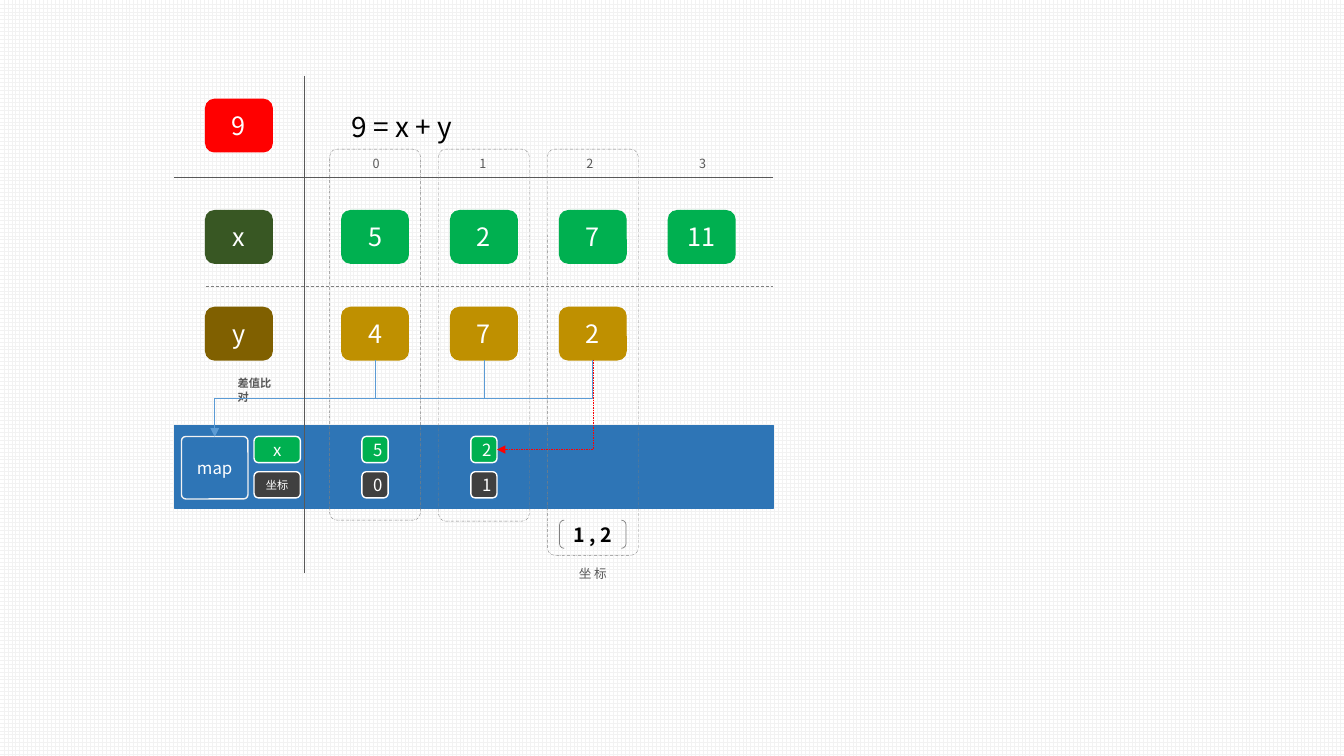
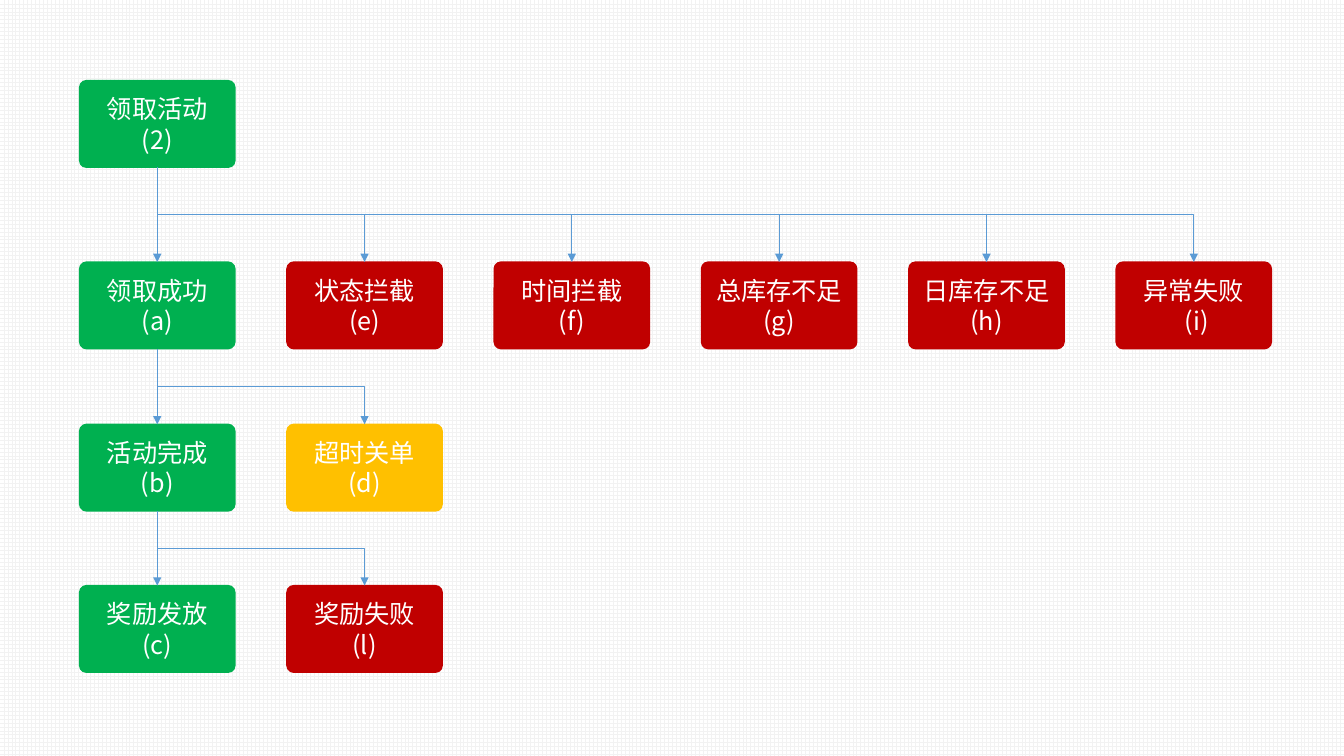
from dataclasses import dataclass
from lxml import etree
from pptx import Presentation
from pptx import util as u
from pptx.dml.color import RGBColor
from pptx.enum import dml, shapes, text
from pptx.oxml.ns import qn


# Theme: colours, type sizes and line weights
class Theme:
    font = "Noto Sans CJK SC"
    white, pale, black = "FFFFFF", "F2F2F2", "000000"
    ink, grey, dark = "595959", "808080", "404040"
    green, red, deep_red, amber = "00B050", "FF0000", "C00000", "FFC000"
    moss, gold, brown = "385723", "BF9000", "806000"
    band, arrow = "2E75B6", "5B9BD5"
    formula, body, result, chip, index, note = 20, 18, 14, 12, 9, 8
    outline, thin, hair = 1, 0.5, 0.25


T = Theme
KIND = shapes.MSO_SHAPE
DASH = dml.MSO_LINE


@dataclass
class Box:
    x: float
    y: float
    w: float
    h: float

    def sub(self, dx, dy, w, h):
        return Box(self.x + dx, self.y + dy, w, h)

    @property
    def mid(self):
        return self.x + self.w / 2

    @property
    def right(self):
        return self.x + self.w

    @property
    def bottom(self):
        return self.y + self.h

    @property
    def inches(self):
        return [u.Inches(v) for v in (self.x, self.y, self.w, self.h)]


@dataclass
class Grid:
    first: Box
    dx: float
    dy: float

    def cell(self, col, row):
        f = self.first
        return f.sub(col * self.dx, row * self.dy, f.w, f.h)


# Shared drawing helpers
def rgb(code):
    return RGBColor.from_string(code)


def write(tf, content, size, color, bold=False, align=text.PP_ALIGN.CENTER):
    tf.word_wrap = True
    for i, line in enumerate(content.split("\n")):
        p = tf.paragraphs[0] if i == 0 else tf.add_paragraph()
        p.alignment = align
        r = p.add_run()
        r.text = line
        r.font.size, r.font.bold = u.Pt(size), bold
        r.font.color.rgb = rgb(color)
        r.font.name = T.font
        etree.SubElement(r.font._element, qn("a:ea")).set("typeface", T.font)


def style_line(line, color, weight, dash=None):
    line.color.rgb = rgb(color)
    line.width = u.Pt(weight)
    if dash:
        line.dash_style = dash


def shape(s, box, fill=None, line=None, weight=T.outline, dash=None,
          kind=KIND.ROUNDED_RECTANGLE, adj=None):
    sp = s.shapes.add_shape(kind, *box.inches)
    sp.shadow.inherit = False
    if fill:
        sp.fill.solid()
        sp.fill.fore_color.rgb = rgb(fill)
    else:
        sp.fill.background()
    style_line(sp.line, line or fill, weight, dash)
    if adj is not None:
        sp.adjustments[0] = adj
    return sp


def card(s, box, content, fill, line=None, size=T.body, adj=None):
    sp = shape(s, box, fill, line, adj=adj)
    write(sp.text_frame, content, size, T.white)


def label(s, box, content, size, color=T.ink, bold=False,
          align=text.PP_ALIGN.CENTER, anchor=text.MSO_ANCHOR.TOP):
    tf = s.shapes.add_textbox(*box.inches).text_frame
    write(tf, content, size, color, bold, align)
    tf.vertical_anchor = anchor
    tf.auto_size = text.MSO_AUTO_SIZE.SHAPE_TO_FIT_TEXT


def connector(s, kind, start, end, color, weight, dash=None, arrow=False):
    ends = [u.Inches(v) for v in (*start, *end)]
    cx = s.shapes.add_connector(kind, *ends)
    style_line(cx.line, color, weight, dash)
    sp_pr = cx._element.spPr
    if arrow:
        etree.SubElement(sp_pr.find(qn("a:ln")), qn("a:tailEnd")).set("type", "triangle")
    etree.SubElement(sp_pr, qn("a:effectLst"))
    return cx


def rule(s, start, end, color=T.ink, dash=None, arrow=False):
    connector(s, shapes.MSO_CONNECTOR.STRAIGHT, start, end, color, T.thin, dash, arrow)


def elbow(s, start, end, color=T.arrow, weight=T.thin, dash=None, one_bend=False):
    """Arrow that leaves downwards: an elbow turned by a quarter."""
    (x1, y1), (x2, y2) = start, end
    mx, my = (x1 + x2) / 2, (y1 + y2) / 2
    half_w, half_h = (y2 - y1) / 2, abs(x2 - x1) / 2
    cx = connector(s, shapes.MSO_CONNECTOR.ELBOW, (mx - half_w, my - half_h),
                   (mx + half_w, my + half_h), color, weight, dash, arrow=True)
    xfrm = cx._element.spPr.find(qn("a:xfrm"))
    xfrm.set("rot", str((270 if x2 > x1 else 90) * 60000))
    if x2 > x1:
        xfrm.set("flipH", "1")
    if one_bend:
        cx._element.spPr.find(qn("a:prstGeom")).set("prst", "bentConnector2")


def new_slide(prs):
    s = prs.slides.add_slide(prs.slide_layouts[6])
    fill = s.background.fill
    fill.patterned()
    fill.pattern = dml.MSO_PATTERN.LARGE_GRID
    fill.fore_color.rgb, fill.back_color.rgb = rgb(T.pale), rgb(T.white)
    return s


# Two-sum slide: table of x and y values
def value_table(s, box, grid):
    card(s, grid.cell(-1.25, -1.15), "9", T.red)
    label(s, box.sub(1.66, 0.29, 4.28, 0.44), "9 = x + y", T.formula, T.black,
          align=text.PP_ALIGN.LEFT)
    rows = [("x", T.moss, T.green, ("5", "2", "7", "11")),
            ("y", T.brown, T.gold, ("4", "7", "2"))]
    for row, (name, head_fill, fill, values) in enumerate(rows):
        card(s, grid.cell(-1.25, row), name, head_fill)
        for col, value in enumerate(values):
            card(s, grid.cell(col, row), value, fill)
    rule(s, (box.x, box.y + 1.01), (box.right, box.y + 1.01))
    rule(s, (box.x + 0.31, box.y + 2.09), (box.right, box.y + 2.09), T.grey, DASH.DASH)


# Two-sum slide: band with the stored values
def map_band(s, box, grid):
    shape(s, box, T.band, kind=KIND.RECTANGLE)
    node = box.sub(0.07, 0.11, 0.66, 0.62)
    card(s, node, "map", None, T.pale, T.chip, 0.07)
    chips = [(T.green, ("x", T.chip), ("5", "2")),
             (T.dark, ("坐标", T.note), ("0", "1"))]
    for row, (fill, (name, size), values) in enumerate(chips):
        top = 0.11 + 0.35 * row
        card(s, box.sub(0.79, top, 0.46, 0.26), name, fill, T.white, size)
        for col, value in enumerate(values):
            left = grid.cell(col, 0).x - box.x + 0.2
            card(s, box.sub(left, top, 0.26, 0.26), value, fill, T.white, T.chip)
    # Lookups from each y value
    label(s, box.sub(0.53, -0.47, 0.64, 0.24), "差值比对", T.note, bold=True,
          align=text.PP_ALIGN.LEFT, anchor=text.MSO_ANCHOR.MIDDLE)
    for col in range(3):
        y_cell = grid.cell(col, 1)
        elbow(s, (y_cell.mid, y_cell.bottom), (box.x + 0.4, node.y))


# Two-sum slide: index columns, match and answer
def index_columns(s, box, grid):
    for col, height in enumerate((3.68, 3.69, 4.03)):
        frame = Box(grid.cell(col, 0).x - 0.12, box.y + 0.73, 0.9, height)
        shape(s, frame, None, T.grey, T.hair, DASH.LONG_DASH_DOT, adj=0.08)
    for col, left in enumerate((1.55, 2.61, 3.67, 4.79)):
        label(s, box.sub(left, 0.75, 0.9, 0.25), str(col), T.index)
    rule(s, (box.x + 1.29, box.y), (box.x + 1.29, box.bottom))
    match = grid.cell(2, 1)
    elbow(s, (match.mid, match.bottom), (box.x + 3.2, box.y + 3.71),
          T.red, T.hair, DASH.DASH, one_bend=True)
    answer = Box(match.x, box.y + 4.41, match.w, 0.28)
    sp = shape(s, answer, None, T.grey, T.thin, kind=KIND.DOUBLE_BRACKET)
    write(sp.text_frame, "1 , 2", T.result, T.black, bold=True)
    label(s, answer.sub(-0.12, 0.4, 0.9, 0.25), "坐 标", T.index)


def two_sum_slide(prs):
    s = new_slide(prs)
    box = Box(1.73, 0.75, 5.94, 4.93)
    grid = Grid(box.sub(1.66, 1.34, 0.66, 0.52), 1.08, 0.96)
    value_table(s, box, grid)
    map_band(s, box.sub(0, 3.47, box.w, 0.82), grid)
    index_columns(s, box, grid)


# Status tree slide: each row hangs from the first card of the row above
def status_tree(s, box, rows, tops, card_w=1.54, card_h=0.86):
    pitch = (box.w - card_w) / (max(map(len, rows)) - 1)
    parent = None
    for top, row in zip(tops, rows):
        cells = [box.sub(pitch * col, top, card_w, card_h) for col in range(len(row))]
        for cell, (content, fill) in zip(cells, row):
            card(s, cell, content, fill, adj=0.08)
            if parent:
                start, end = (parent.mid, parent.bottom), (cell.mid, cell.y)
                if cell.x == parent.x:
                    rule(s, start, end, T.arrow, arrow=True)
                else:
                    elbow(s, start, end)
        parent = cells[0]


def status_slide(prs):
    rows = [
        [("领取活动\n(2)", T.green)],
        [("领取成功\n(a)", T.green), ("状态拦截\n(e)", T.deep_red),
         ("时间拦截\n(f)", T.deep_red), ("总库存不足(g)", T.deep_red),
         ("日库存不足(h)", T.deep_red), ("异常失败\n (i)", T.deep_red)],
        [("活动完成\n(b)", T.green), ("超时关单\n(d)", T.amber)],
        [("奖励发放\n(c)", T.green), ("奖励失败\n(l)", T.deep_red)],
    ]
    status_tree(new_slide(prs), Box(0.79, 0.8, 11.82, 5.87), rows, (0, 1.8, 3.41, 5.01))


prs = Presentation()
prs.slide_width, prs.slide_height = u.Inches(13.33), u.Inches(7.5)
two_sum_slide(prs)
status_slide(prs)
prs.save("out.pptx")
